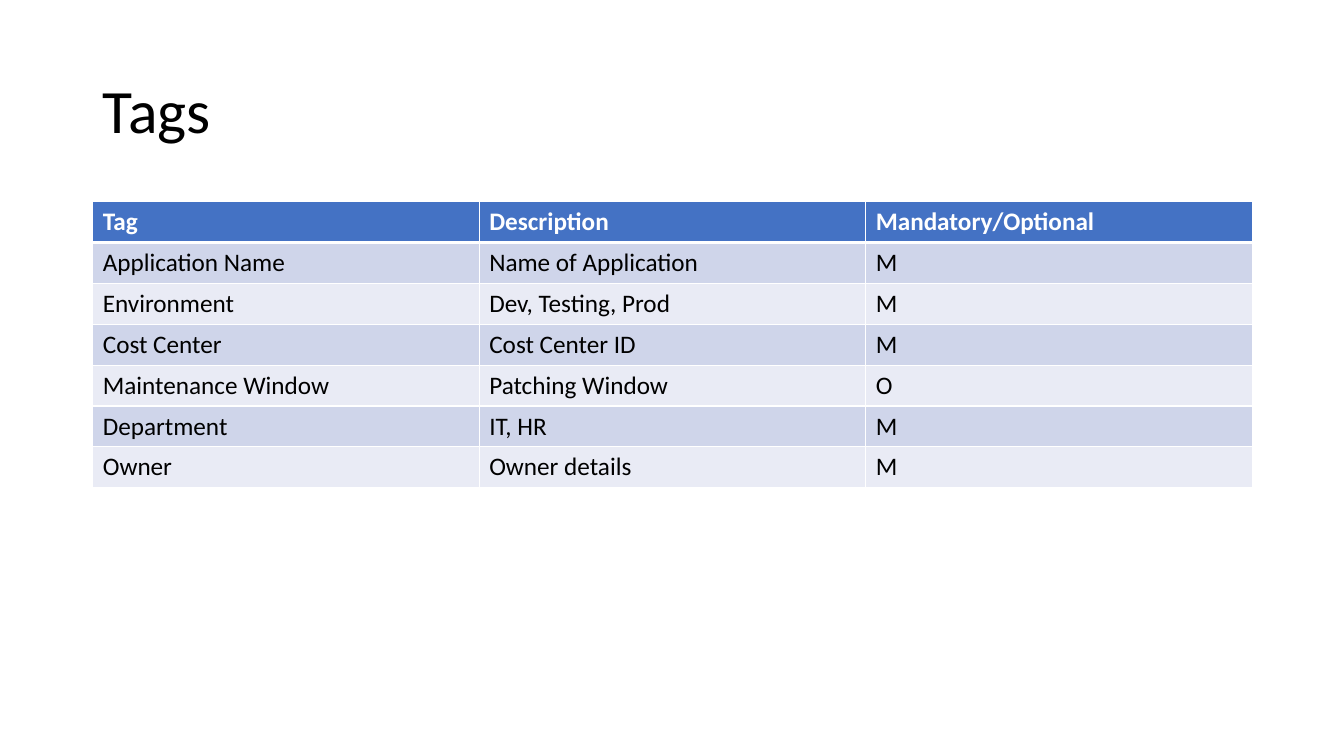
from lxml import etree
from pptx import Presentation
from pptx.dml.color import RGBColor
from pptx.enum.text import MSO_ANCHOR, PP_ALIGN
from pptx.oxml.ns import qn
from pptx.util import Inches, Pt

COLORS = {"text": "000000", "white": "FFFFFF", "header": "4472C4",
          "odd": "CFD5EA", "even": "E9EBF5"}
FONT = "Calibri"
ROWS = [
    ("Tag", "Description", "Mandatory/Optional"),
    ("Application Name", "Name of Application", "M"),
    ("Environment", "Dev, Testing, Prod", "M"),
    ("Cost Center", "Cost Center ID", "M"),
    ("Maintenance Window", "Patching Window", "O"),
    ("Department", "IT, HR", "M"),
    ("Owner", "Owner details", "M"),
]
LEFT, WIDTH = 0.92, 11.5
TABLE_TOP, TABLE_HEIGHT = 2, 2.84


def add_run(p, text, size, color, bold=False):
    r = p.add_run()
    r.text = text
    r.font.name = FONT
    r.font.size = Pt(size)
    r.font.bold = bold
    r.font.color.rgb = RGBColor.from_string(COLORS[color])


def add_border(cell, side, width):
    ln = etree.SubElement(cell._tc.get_or_add_tcPr(), qn(f"a:ln{side}"), w=str(Pt(width)))
    fill = etree.SubElement(ln, qn("a:solidFill"))
    etree.SubElement(fill, qn("a:srgbClr"), val=COLORS["white"])


prs = Presentation()
prs.slide_width = Inches(13.33)
prs.slide_height = Inches(7.5)
s = prs.slides.add_slide(prs.slide_layouts[5])

# Title
title = s.shapes.title
title.left, title.top = Inches(LEFT), Inches(0.4)
title.width, title.height = Inches(WIDTH), Inches(1.45)
tf = title.text_frame
tf.vertical_anchor = MSO_ANCHOR.MIDDLE
p = tf.paragraphs[0]
p.alignment = PP_ALIGN.LEFT
p.line_spacing = 0.9
add_run(p, "Tags", 44, "text")

# Tag table
table = s.shapes.add_table(len(ROWS), len(ROWS[0]), Inches(LEFT), Inches(TABLE_TOP),
                           Inches(WIDTH), Inches(TABLE_HEIGHT)).table
for i, row in enumerate(ROWS):
    is_header = i == 0
    band = "header" if is_header else "odd" if i % 2 else "even"
    for j, text in enumerate(row):
        cell = table.cell(i, j)
        for side in "LRTB":
            # A thick rule separates the header from the body
            thick = (is_header and side == "B") or (i == 1 and side == "T")
            add_border(cell, side, 3 if thick else 1)
        cell.fill.solid()
        cell.fill.fore_color.rgb = RGBColor.from_string(COLORS[band])
        add_run(cell.text_frame.paragraphs[0], text, 18,
                "white" if is_header else "text", is_header)

prs.save("out.pptx")
